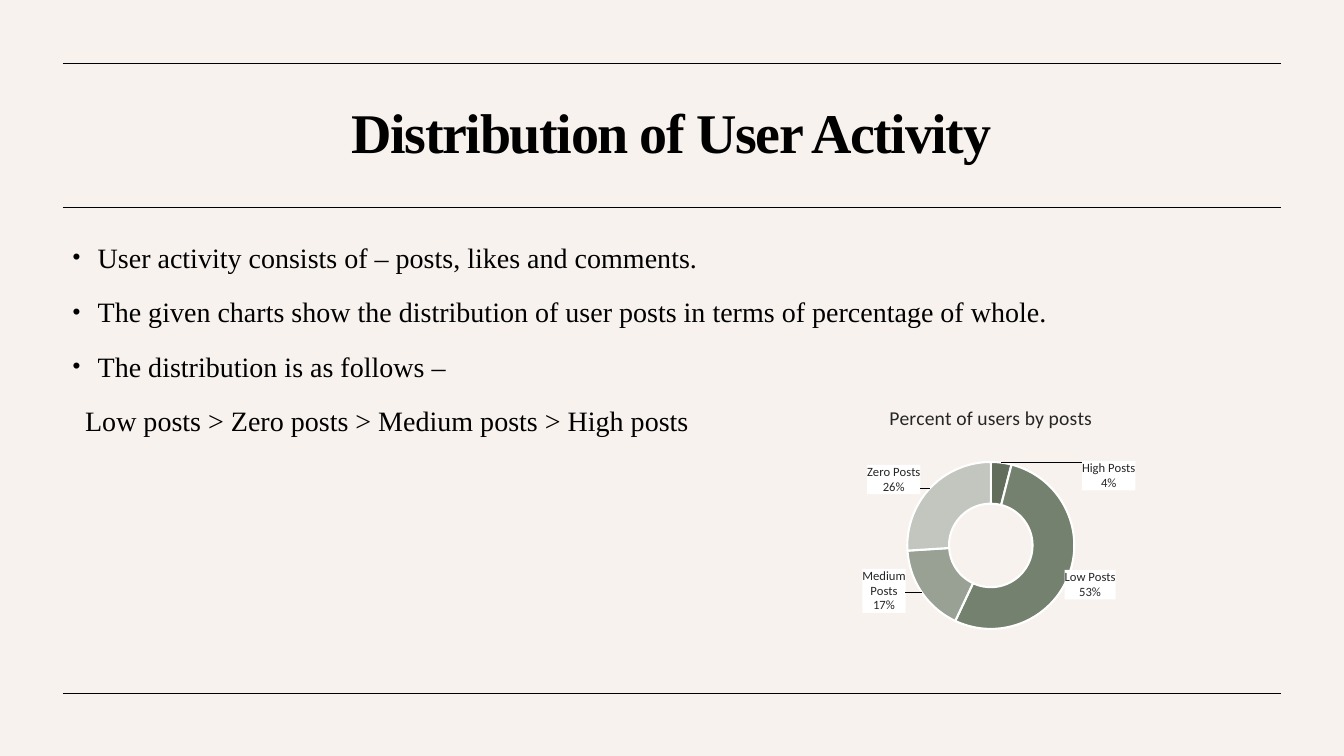
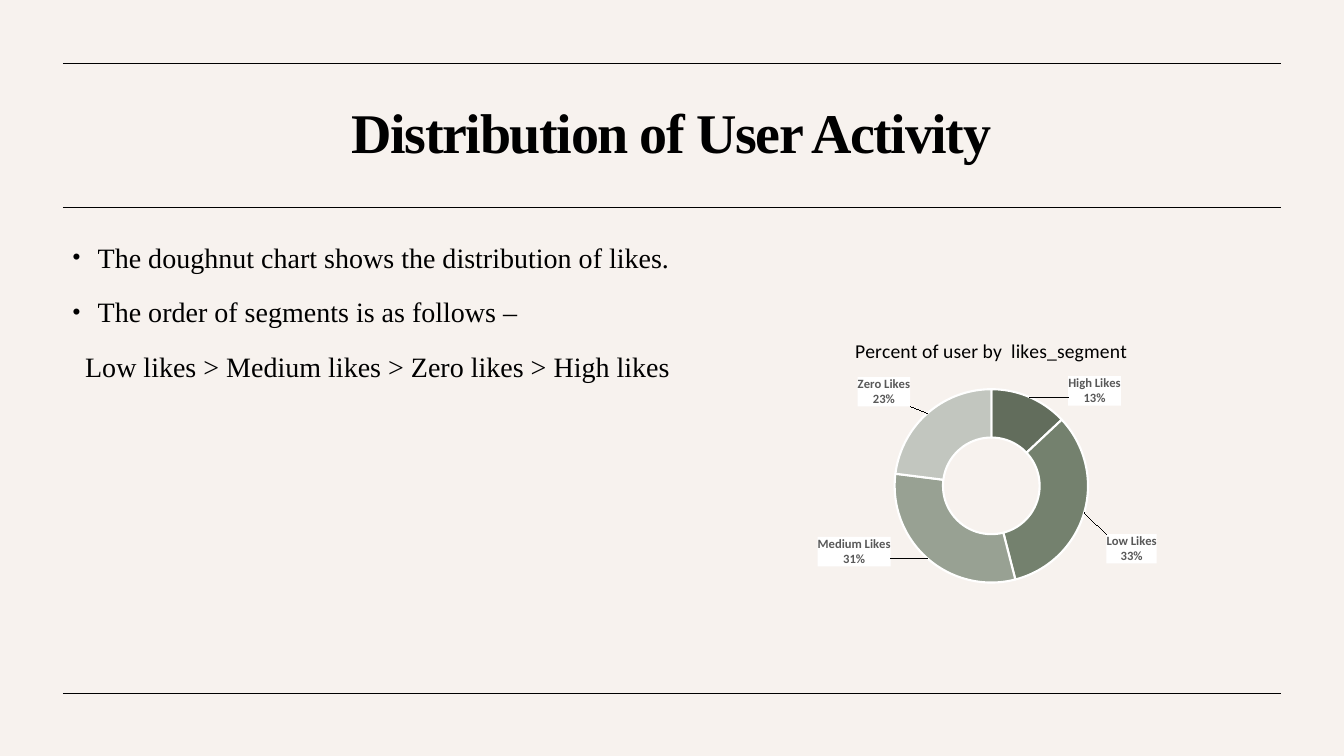
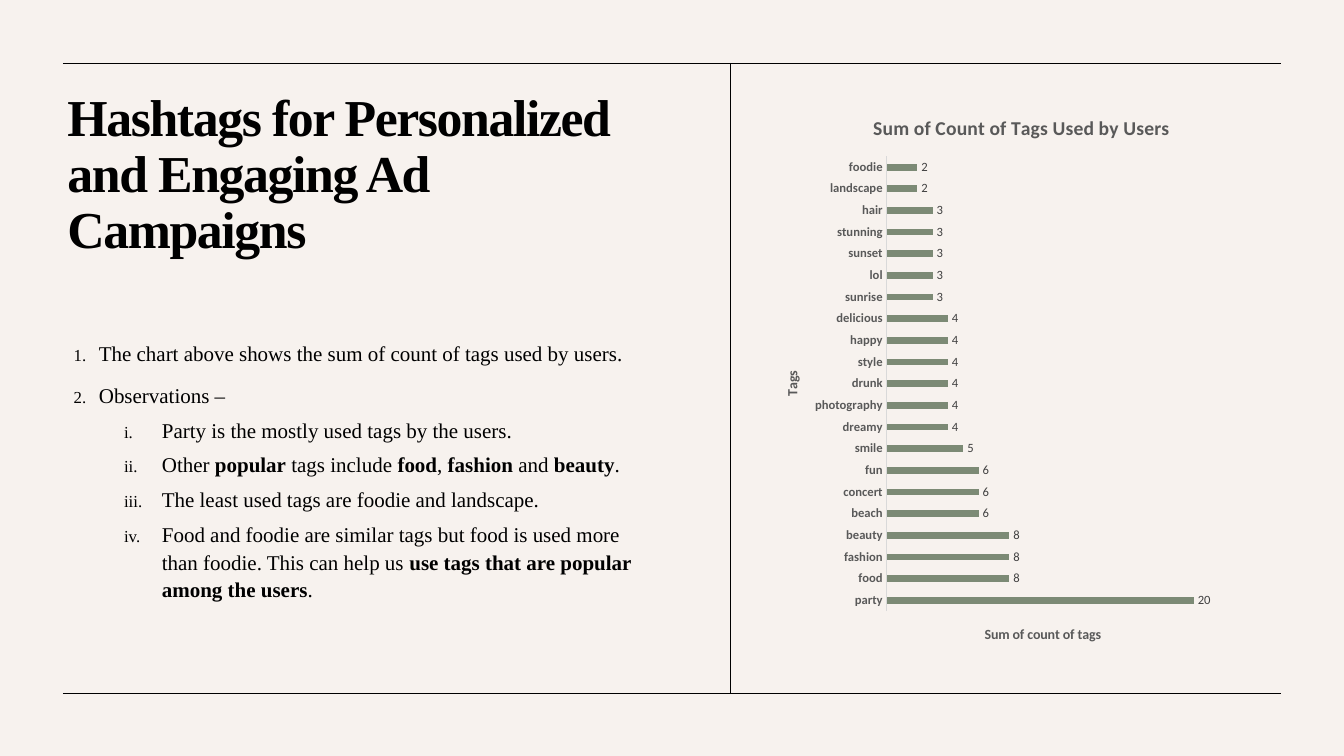
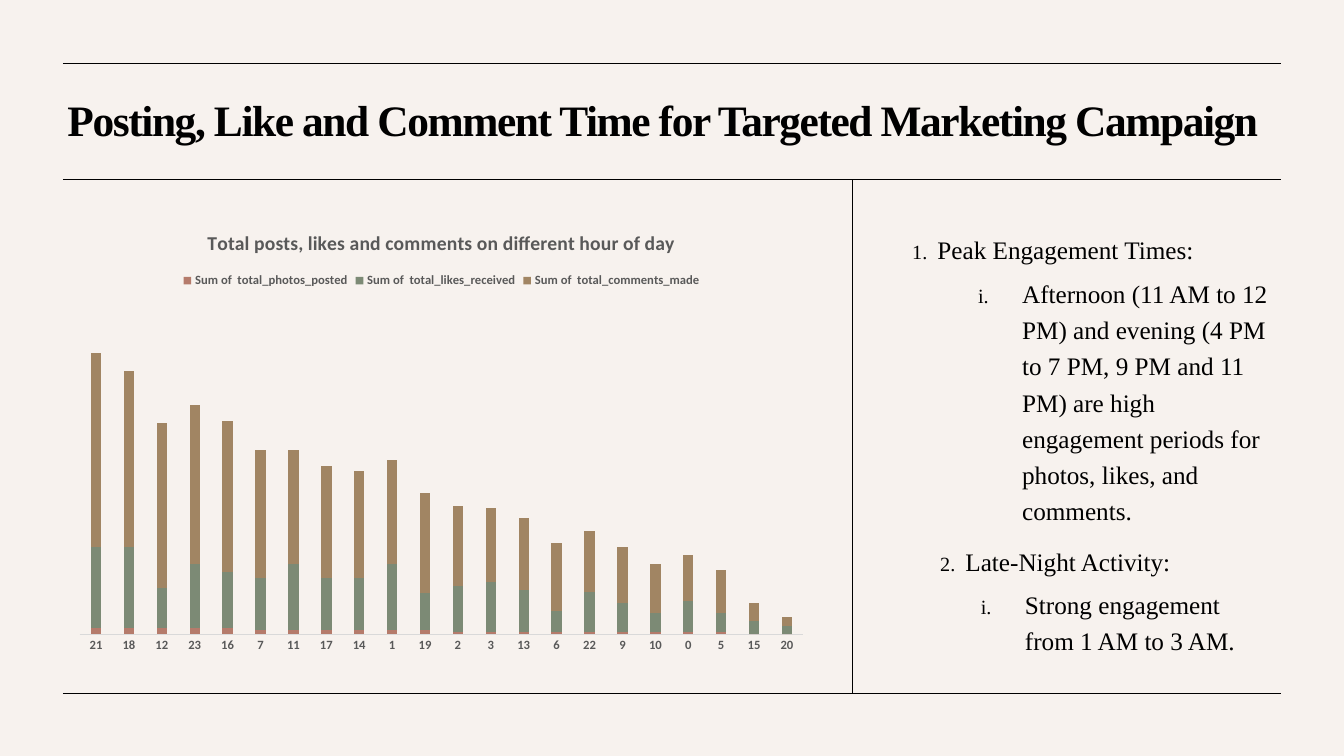
"""Build four slides on user activity, hashtags and posting times."""
from copy import deepcopy

from lxml.etree import SubElement
from pptx import Presentation
from pptx.chart.data import CategoryChartData
from pptx.dml.color import RGBColor
from pptx.enum.chart import XL_CHART_TYPE as ChartType
from pptx.enum.chart import XL_LABEL_POSITION as LabelPosition
from pptx.enum.chart import XL_LEGEND_POSITION as LegendPosition
from pptx.enum.chart import XL_TICK_MARK as TickMark
from pptx.enum.shapes import MSO_CONNECTOR as Connector
from pptx.enum.text import MSO_ANCHOR as Anchor
from pptx.enum.text import MSO_AUTO_SIZE as AutoSize
from pptx.enum.text import PP_ALIGN as Align
from pptx.oxml.ns import qn
from pptx.util import Pt

COLORS = {
    "background": "F7F2EE", "ink": "000000", "white": "FFFFFF",
    "dark": "262626", "value": "404040", "muted": "595959", "axis": "D9D9D9",
    "posts": "B57B6B", "likes": "7C8A75", "comments": "A18563",
    "high": "626D5C", "low": "74816E", "medium": "98A193", "zero": "C2C6BF",
}
SEGMENTS = ("high", "low", "medium", "zero")
TEXT_FONT, CHART_FONT = "Times New Roman", "Calibri"
LEFT, RIGHT, TOP, BOTTOM = 45, 915, 45, 495
WIDE_TITLE = (44.6, 54, 869.8, 85.7)
WIDE_BODY = (44.6, 163.4, 871.2, 308.2)
MARKERS = {
    "bullet": ("a:buChar", {"char": "•"}, "Arial"),
    "number": ("a:buAutoNum", {"type": "arabicPeriod"}, TEXT_FONT),
    "roman": ("a:buAutoNum", {"type": "romanLcPeriod"}, TEXT_FONT),
}


def color(name):
    """Return the named colour."""
    return RGBColor.from_string(COLORS[name])


def set_font(font, name, size, color_name, bold=False):
    """Format a font."""
    font.name, font.size, font.bold = name, Pt(size), bold
    font.color.rgb = color(color_name)


def place(shape, box):
    """Move and size a shape by left, top, width and height."""
    shape.left, shape.top, shape.width, shape.height = map(Pt, box)


def add_rule(slide, x1, y1, x2, y2):
    """Draw a thin black line."""
    rule = slide.shapes.add_connector(Connector.STRAIGHT, Pt(x1), Pt(y1), Pt(x2), Pt(y2))
    rule.line.color.rgb = color("ink")
    rule.line.width = Pt(0.5)
    SubElement(rule._element.spPr, qn("a:effectLst"))


def add_slide(presentation, middle=None, divider=None):
    """Add a slide with its horizontal rules and an optional divider (x, top)."""
    slide = presentation.slides.add_slide(presentation.slide_layouts[1])
    for y in filter(None, (TOP, middle, BOTTOM)):
        add_rule(slide, LEFT, y, RIGHT, y)
    if divider:
        add_rule(slide, *divider, divider[0], BOTTOM)
    return slide


def prepare_text(shape, box, anchor):
    """Place a text placeholder and return its frame."""
    place(shape, box)
    frame = shape.text_frame
    frame.word_wrap, frame.auto_size = True, AutoSize.NONE
    frame.vertical_anchor = anchor
    return frame


def set_title(slide, text, box, size, align=Align.LEFT, anchor=Anchor.MIDDLE):
    """Fill the title placeholder."""
    frame = prepare_text(slide.shapes.title, box, anchor)
    frame.text = text
    paragraph = frame.paragraphs[0]
    paragraph.alignment, paragraph.line_spacing = align, 0.9
    set_font(paragraph.font, TEXT_FONT, size, "ink", True)
    paragraph.font._rPr.set("spc", "-100")


def set_marker(paragraph, marker, left, hanging):
    """Set the indents and the bullet or number of a paragraph."""
    properties = paragraph._p.get_or_add_pPr()
    properties.set("marL", str(Pt(left)))
    properties.set("indent", str(Pt(-hanging)))
    if marker is None:
        SubElement(properties, qn("a:buNone"))
        return
    tag, attributes, font_name = MARKERS[marker]
    SubElement(properties, qn("a:buSzPct"), val="80000")
    SubElement(properties, qn("a:buFont"), typeface=font_name)
    SubElement(properties, qn(tag), attributes)


def set_list(slide, items, box, size, spacing=1.2, align=Align.LEFT, anchor=Anchor.TOP):
    """Fill the body with (marker, left, hanging, text); ** encloses bold words."""
    frame = prepare_text(slide.placeholders[1], box, anchor)
    for index, (marker, left, hanging, text) in enumerate(items):
        paragraph = frame.add_paragraph() if index else frame.paragraphs[0]
        paragraph.level = int(marker == "roman")
        set_marker(paragraph, marker, left, hanging)
        paragraph.alignment, paragraph.line_spacing = align, spacing
        paragraph.space_before = Pt(5 if marker == "roman" else 10)
        paragraph.space_after = Pt(0)
        set_font(paragraph.font, TEXT_FONT, size, "ink")
        for part, words in enumerate(text.split("**")):
            run = paragraph.add_run()
            run.text = words
            if part % 2:
                run.font.bold = True


def add_manual_layout(parent, position, **values):
    """Insert a manual chart layout as the given child."""
    for old in parent.findall(qn("c:layout")):
        parent.remove(old)
    layout = SubElement(parent, qn("c:layout"))
    manual = SubElement(layout, qn("c:manualLayout"))
    for name, value in values.items():
        SubElement(manual, qn(f"c:{name}"), val=str(value))
    parent.insert(position, layout)


def add_clear_fill(parent):
    """Append properties without fill or line and return them."""
    properties = SubElement(parent, qn("c:spPr"))
    SubElement(properties, qn("a:noFill"))
    SubElement(SubElement(properties, qn("a:ln")), qn("a:noFill"))
    return properties


def set_chart_title(title, text, size, color_name, bold):
    """Write and format the title of a chart or an axis."""
    title.text_frame.text = text
    set_font(title.text_frame.paragraphs[0].font, CHART_FONT, size, color_name, bold)


def add_chart(slide, kind, box, plot, title, categories, series, title_color="muted", bold=True):
    """Add a transparent chart; plot holds its inner area in fractions."""
    data = CategoryChartData()
    data.categories = categories
    for name, values in series:
        data.add_series(name, values)
    chart = slide.shapes.add_chart(kind, *map(Pt, box), data).chart
    set_font(chart.font, CHART_FONT, 10, title_color)
    chart.has_legend, chart.has_title = False, True
    set_chart_title(chart.chart_title, title, 14, title_color, bold)
    space = chart._chartSpace
    area = space.chart.plotArea
    add_manual_layout(area, 0, layoutTarget="inner", xMode="edge", yMode="edge",
                      **dict(zip("xywh", plot)))
    add_clear_fill(area)
    space.chart.addnext(add_clear_fill(space))
    return chart


def label_segments(series, offsets, color_name, bold):
    """Label each doughnut segment on white, moved by its offset."""
    labels = series.data_labels
    set_font(labels.font, CHART_FONT, 9, color_name, bold)
    labels.number_format, labels.number_format_is_linked = "0%", False
    labels.show_value = False
    labels.show_percentage = labels.show_category_name = True
    element = labels._element
    properties = SubElement(element, qn("c:spPr"))
    fill = SubElement(properties, qn("a:solidFill"))
    SubElement(fill, qn("a:srgbClr"), val=COLORS["white"])
    element.find(qn("c:txPr")).addprevious(properties)
    separator = SubElement(element, qn("c:separator"))
    separator.text = "\n"
    element.find(qn("c:showBubbleSize")).addnext(separator)
    shared = [child for child in element if child.tag != qn("c:showLeaderLines")]
    for index, (x, y) in enumerate(offsets):
        label = SubElement(element, qn("c:dLbl"))
        SubElement(label, qn("c:idx"), val=str(index))
        add_manual_layout(label, 1, x=x, y=y)
        label.extend(deepcopy(child) for child in shared)
        element.insert(index, label)


def add_doughnut(slide, box, plot, title, noun, values, offsets, title_color, label_color, bold):
    """Add a doughnut chart of the four activity segments."""
    categories = [f"{segment.title()} {noun}" for segment in SEGMENTS]
    chart = add_chart(slide, ChartType.DOUGHNUT, box, plot, title, categories,
                      [("Series 1", values)], title_color, False)
    doughnut = chart.plots[0]
    doughnut.vary_by_categories = True
    doughnut._element.find(qn("c:holeSize")).set("val", "75")
    series = doughnut.series[0]
    for index, segment in enumerate(SEGMENTS):
        style = series.points[index].format
        style.fill.solid()
        style.fill.fore_color.rgb = color(segment)
        style.line.color.rgb = color("white")
        style.line.width = Pt(1.5)
    label_segments(series, offsets, label_color, bold)


def style_bars(chart, maximum, color_names):
    """Format the axes and bars of a bar or column chart."""
    axis = chart.category_axis
    axis.major_tick_mark = axis.minor_tick_mark = TickMark.NONE
    axis.has_major_gridlines = False
    axis.format.line.color.rgb = color("axis")
    axis.format.line.width = Pt(0.75)
    set_font(axis.tick_labels.font, CHART_FONT, 9, "muted", True)
    values = chart.value_axis
    values.has_major_gridlines = values.visible = False
    values.minimum_scale, values.maximum_scale = 0, maximum
    bars = chart.plots[0]
    bars.vary_by_categories = False
    bars.gap_width = 219
    for series, name in zip(bars.series, color_names):
        series.format.fill.solid()
        series.format.fill.fore_color.rgb = color(name)


def build_posts(presentation):
    """Build the slide on posts."""
    slide = add_slide(presentation, 148.3)
    set_title(slide, "Distribution of User Activity", WIDE_TITLE, 40, Align.CENTER)
    set_list(slide, [
        ("bullet", 18, 18, "User activity consists of – posts, likes and comments."),
        ("bullet", 18, 18, "The given charts show the distribution of user posts in terms "
                           "of percentage of whole."),
        ("bullet", 18, 18, "The distribution is as follows –"),
        (None, 9, 0, "Low posts > Zero posts > Medium posts > High posts"),
    ], WIDE_BODY, 20, align=Align.JUSTIFY)
    add_doughnut(slide, (576.7, 278.6, 262.1, 183.6), (0.27, 0.28, 0.46, 0.65),
                 "Percent of users by posts", "Posts", (4, 53, 17, 26),
                 [(0.3, -0.03), (0.11, 0.07), (-0.15, 0.04), (-0.14, -0.09)],
                 "dark", "dark", False)


def build_likes(presentation):
    """Build the slide on likes."""
    slide = add_slide(presentation, 148.3)
    set_title(slide, "Distribution of User Activity", WIDE_TITLE, 40, Align.CENTER)
    set_list(slide, [
        ("bullet", 18, 18, "The doughnut chart shows the distribution of likes."),
        ("bullet", 18, 18, "The order of segments is as follows –"),
        (None, 9, 0, "Low likes > Medium likes > Zero likes > High likes"),
    ], WIDE_BODY, 20)
    add_doughnut(slide, (575.3, 230.4, 265.7, 203), (0.24, 0.23, 0.52, 0.69),
                 "Percent of user by  likes_segment", "Likes", (13, 33, 31, 23),
                 [(0.2, -0.1), (0.19, 0.15), (-0.24, 0.04), (-0.16, -0.14)],
                 "ink", "muted", True)


def build_hashtags(presentation):
    """Build the slide on hashtags."""
    slide = add_slide(presentation, divider=(522, TOP))
    set_title(slide, "Hashtags for Personalized and Engaging Ad Campaigns",
              (41, 61.9, 438.5, 134.6), 37, anchor=Anchor.TOP)
    set_list(slide, [
        ("number", 18, 18, "The chart above shows the sum of count of tags used by users."),
        ("number", 18, 18, "Observations –"),
        ("roman", 63, 27, "Party is the mostly used tags by the users."),
        ("roman", 63, 27, "Other **popular** tags include **food**, **fashion** and **beauty**."),
        ("roman", 63, 27, "The least used tags are foodie and landscape."),
        ("roman", 63, 27, "Food and foodie are similar tags but food is used more than foodie. "
                          "This can help us **use tags that are popular among the users**."),
    ], (45.4, 224.6, 430.6, 209), 15, 1.1, anchor=Anchor.BOTTOM)
    tags = ("party food fashion beauty beach concert fun smile dreamy photography drunk style "
            "happy delicious sunrise lol sunset stunning hair landscape foodie").split()
    counts = (20, 8, 8, 8, 6, 6, 6, 5, 4, 4, 4, 4, 4, 4, 3, 3, 3, 3, 3, 2, 2)
    chart = add_chart(slide, ChartType.BAR_CLUSTERED, (544.3, 67, 370.8, 406.1),
                      (0.24, 0.11, 0.74, 0.8), "Sum of Count of Tags Used by Users",
                      tags, [("Series 1", counts)])
    style_bars(chart, 25, ["likes"])
    for axis, text in ((chart.category_axis, "Tags"), (chart.value_axis, "Sum of count of tags")):
        set_chart_title(axis.axis_title, text, 10, "muted", True)
    body = chart.category_axis.axis_title.text_frame._txBody.bodyPr
    body.set("rot", "-5400000")
    body.set("vert", "horz")
    labels = chart.plots[0].series[0].data_labels
    labels.show_value, labels.position = True, LabelPosition.OUTSIDE_END
    set_font(labels.font, CHART_FONT, 9, "value")


def build_hours(presentation):
    """Build the slide on posting times."""
    slide = add_slide(presentation, 128.2, (609.1, 128.2))
    set_title(slide, "Posting, Like and Comment Time for Targeted Marketing Campaign",
              (41, 54, 874.8, 67), 31)
    set_list(slide, [
        ("number", 18, 18, "Peak Engagement Times:"),
        ("roman", 78.5, 31.5, "Afternoon (11 AM to 12 PM) and evening (4 PM to 7 PM, 9 PM and "
                              "11 PM) are high engagement periods for photos, likes, and comments."),
        ("number", 38, 18, "Late-Night Activity:"),
        ("roman", 80.5, 31.5, "Strong engagement from 1 AM to 3 AM."),
    ], (644.4, 159.8, 271.4, 312.5), 18)
    hours = "21 18 12 23 16 7 11 17 14 1 19 2 3 13 6 22 9 10 0 5 15 20".split()
    totals = [
        ("Sum of  total_photos_posted",
         (3, 3, 3, 3, 3, 2, 2, 2, 2, 2, 2, 1, 1, 1, 1, 1, 1, 1, 1, 1, 0, 0)),
        ("Sum of  total_likes_received",
         (42, 42, 21, 33, 29, 27, 34, 27, 27, 34, 19, 24, 26, 22, 11, 21, 15, 10, 16, 10, 7, 4)),
        ("Sum of  total_comments_made",
         (100, 91, 85, 82, 78, 66, 59, 58, 55, 54, 52, 41, 38, 37, 35, 31, 29, 25, 24, 22, 9, 5)),
    ]
    chart = add_chart(slide, ChartType.COLUMN_STACKED, (46.1, 151.2, 538.6, 321.1),
                      (0.02, 0.25, 0.96, 0.69),
                      "Total posts, likes and comments on different hour of day", hours, totals)
    style_bars(chart, 160, ["posts", "likes", "comments"])
    chart.plots[0].overlap = 100
    chart.has_legend = True
    chart.legend.position = LegendPosition.TOP
    chart.legend.include_in_layout = False
    set_font(chart.legend.font, CHART_FONT, 9, "muted", True)


def main():
    """Build and save the presentation."""
    presentation = Presentation()
    presentation.slide_width, presentation.slide_height = Pt(960), Pt(540)
    background = presentation.slide_master.background.fill
    background.solid()
    background.fore_color.rgb = color("background")
    for build in (build_posts, build_likes, build_hashtags, build_hours):
        build(presentation)
    presentation.save("out.pptx")


if __name__ == "__main__":
    main()
